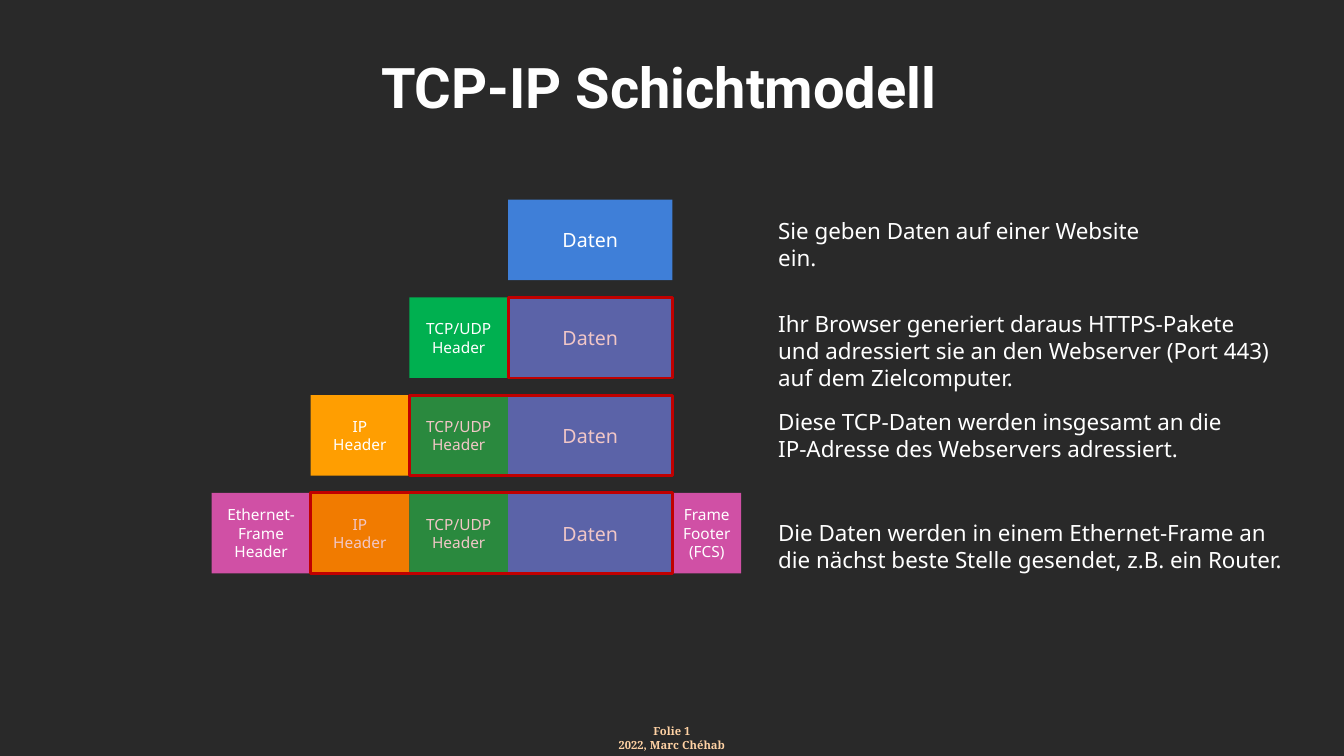
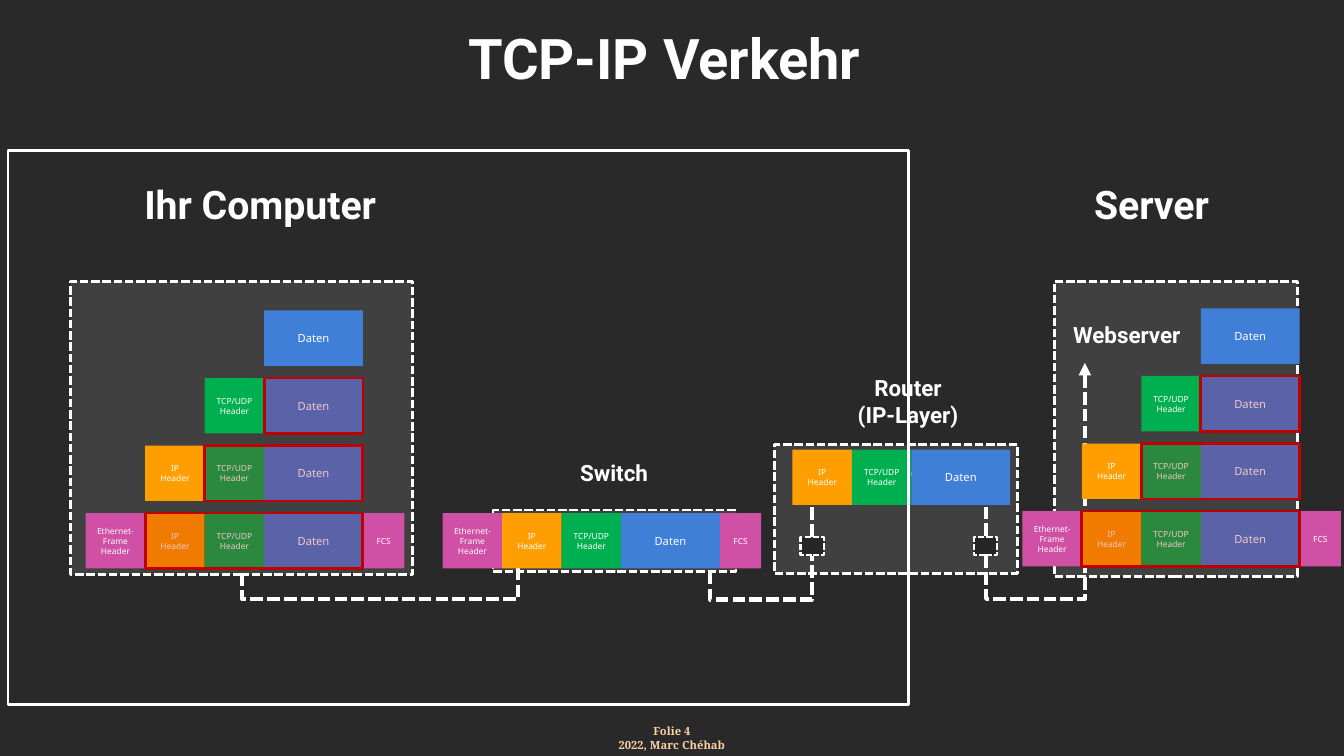
from copy import deepcopy
from dataclasses import dataclass

from lxml.etree import SubElement
from pptx import Presentation
from pptx.dml.color import RGBColor
from pptx.enum.dml import MSO_LINE
from pptx.enum.shapes import MSO_CONNECTOR, MSO_SHAPE
from pptx.enum.text import MSO_ANCHOR, MSO_AUTO_SIZE, PP_ALIGN
from pptx.oxml.ns import qn
from pptx.util import Inches, Pt


@dataclass(frozen=True)
class Theme:
    background: str = "292929"
    white: str = "FFFFFF"
    panel: str = "404040"
    port: str = "262626"
    data: str = "3F7FD8"
    transport: str = "00B050"
    internet: str = "FF9E01"
    ethernet: str = "D050A5"
    payload: str = "C00000"
    footer: str = "FFD2A4"
    body_font: str = "Noto Sans"
    heading_font: str = "Roboto"
    footer_font: str = "Noto Serif"
    title_size: int = 40
    section_size: int = 28
    text_size: int = 16
    footer_size: int = 8


@dataclass(frozen=True)
class PacketStyle:
    header: float
    data: float
    footer: float
    height: float
    step: float
    data_size: int
    header_size: int
    footer_text: str


THEME = Theme()
LARGE = PacketStyle(0.98, 1.63, 0.68, 0.8, 0.97, 14, 11, "Frame\nFooter (FCS)")
SMALL = PacketStyle(0.59, 0.98, 0.41, 0.55, 0.67, 8, 6, "FCS")
HEADERS = [
    ("Ethernet-Frame\nHeader", THEME.ethernet),
    ("IP\nHeader", THEME.internet),
    ("TCP/UDP\nHeader", THEME.transport),
]
DEFAULT_INSETS = (0.1, 0.05, 0.1, 0.05)
HEADING_INSETS = (0, 0.05, 0.1, 0.05)


def write_text(shape, text, size=THEME.text_size, font=THEME.body_font, color=THEME.white,
               bold=False, align=PP_ALIGN.LEFT, anchor=MSO_ANCHOR.TOP, insets=DEFAULT_INSETS):
    frame = shape.text_frame
    frame.word_wrap = True
    frame.auto_size = MSO_AUTO_SIZE.NONE
    frame.vertical_anchor = anchor
    frame.margin_left, frame.margin_top, frame.margin_right, frame.margin_bottom = map(Inches, insets)
    paragraph = frame.paragraphs[0]
    paragraph.text = text
    paragraph.alignment = align
    for run in paragraph.runs:
        run.font.size = Pt(size)
        run.font.name = font
        run.font.bold = bold
        run.font.color.rgb = RGBColor.from_string(color)
    for line_break in paragraph._p.findall(qn("a:br")):
        line_break.insert(0, deepcopy(paragraph.runs[0]._r.rPr))


def add_text(slide, text, left, top, width, height, **text_format):
    shape = slide.shapes.add_textbox(*map(Inches, (left, top, width, height)))
    write_text(shape, text, **text_format)


def add_heading(slide, text, left, top, width, size=THEME.text_size):
    add_text(slide, text, left, top, width, 0.8, size=size, font=THEME.heading_font, bold=True,
             align=PP_ALIGN.CENTER, anchor=MSO_ANCHOR.MIDDLE, insets=HEADING_INSETS)


def set_line(line, color, width, dashed=False):
    line.color.rgb = RGBColor.from_string(color)
    line.width = Pt(width)
    if dashed:
        line.dash_style = MSO_LINE.SQUARE_DOT


def add_box(slide, left, top, width, height, fill=None, line=None, line_width=2,
            dashed=False, opacity=None):
    shape = slide.shapes.add_shape(MSO_SHAPE.RECTANGLE, *map(Inches, (left, top, width, height)))
    shape.shadow.inherit = False
    if fill:
        shape.fill.solid()
        shape.fill.fore_color.rgb = RGBColor.from_string(fill)
    else:
        shape.fill.background()
    if opacity is not None:
        color = shape._element.spPr.find(qn("a:solidFill")).find(qn("a:srgbClr"))
        SubElement(color, qn("a:alpha"), val=str(opacity * 1000))
    if line:
        set_line(shape.line, line, line_width, dashed)
    else:
        shape.line.fill.background()
    return shape


def add_panel(slide, left, top, width, height):
    add_box(slide, left, top, width, height, fill=THEME.panel, line=THEME.white, dashed=True)


def add_port(slide, left, top):
    add_box(slide, left, top, 0.23, 0.18, fill=THEME.port, line=THEME.white,
            line_width=1.5, dashed=True)


def add_block(slide, text, fill, left, top, width, height, size):
    shape = add_box(slide, left, top, width, height, fill=fill)
    write_text(shape, text, size=size, align=PP_ALIGN.CENTER, anchor=MSO_ANCHOR.MIDDLE)


def add_packet(slide, style, left, top, header_count, payload_marked=False):
    headers = HEADERS[len(HEADERS) - header_count:]
    for index, (text, fill) in enumerate(headers):
        add_block(slide, text, fill, left + index * style.header, top,
                  style.header, style.height, style.header_size)
    data_left = left + header_count * style.header
    data_right = data_left + style.data
    add_block(slide, "Daten", THEME.data, data_left, top, style.data, style.height, style.data_size)
    if header_count == len(HEADERS):
        add_block(slide, style.footer_text, THEME.ethernet, data_right, top,
                  style.footer, style.height, style.header_size)
    if payload_marked and header_count:
        payload_left = left + style.header
        add_box(slide, payload_left, top, data_right - payload_left, style.height,
                fill=THEME.payload, line=THEME.payload, opacity=22)


def add_packet_stack(slide, style, left, top):
    for header_count in range(len(HEADERS) + 1):
        indent = (len(HEADERS) - header_count) * style.header
        add_packet(slide, style, left + indent, top + header_count * style.step,
                   header_count, payload_marked=True)


def add_cable(slide, kind, left, top, right, bottom):
    connector = slide.shapes.add_connector(kind, *map(Inches, (left, top, right, bottom)))
    set_line(connector.line, THEME.white, 3, dashed=True)
    SubElement(connector._element.spPr, qn("a:effectLst"))
    return connector


def add_bent_cable(slide, start, end, bend):
    (start_x, start_y), (end_x, end_y) = start, end
    rise = (end_y - start_y) or 0.01
    length, span = abs(rise), end_x - start_x
    left = (start_x + end_x - length) / 2
    top = (start_y + end_y - span) / 2
    connector = add_cable(slide, MSO_CONNECTOR.ELBOW, left, top, left + length, top + span)
    transform = connector._element.spPr.find(qn("a:xfrm"))
    transform.set("flipH", "1")
    if rise > 0:
        connector.rotation = 270
        transform.set("rot", str(270 * 60000))
    else:
        transform.set("rot", str(90 * 60000))
        transform.set("flipV", "1")
    adjustments = connector._element.spPr.find(qn("a:prstGeom")).find(qn("a:avLst"))
    ratio = round((bend - start_y) / rise * 100000)
    SubElement(adjustments, qn("a:gd"), name="adj1", fmla=f"val {ratio}")


def add_arrow(slide, left, bottom, top):
    connector = add_cable(slide, MSO_CONNECTOR.STRAIGHT, left, bottom, left, top)
    SubElement(connector.line._get_or_add_ln(), qn("a:tailEnd"), type="triangle")


def add_slide(presentation, title, number, left, top, align):
    slide = presentation.slides.add_slide(presentation.slide_layouts[5])
    shape = slide.shapes.title
    shape.left, shape.top, shape.width, shape.height = map(Inches, (left, top, 5.78, 0.8))
    write_text(shape, title, size=THEME.title_size, font=THEME.heading_font, bold=True,
               align=align, anchor=MSO_ANCHOR.MIDDLE, insets=HEADING_INSETS)
    add_text(slide, f"Folie {number}\n2022, Marc Chéhab", 5.33, 7.19, 2.67, 0.27,
             size=THEME.footer_size, font=THEME.footer_font, color=THEME.footer, bold=True,
             align=PP_ALIGN.CENTER, insets=(0, 0, 0, 0))
    return slide


def build_layer_slide(presentation):
    slide = add_slide(presentation, "TCP-IP Schichtmodell", 1, 3.78, 0.45, PP_ALIGN.LEFT)
    add_packet_stack(slide, LARGE, 2.1, 1.98)
    explanations = [
        ("Sie geben Daten auf einer Website ein.", 2.11, 3.87, 0.64),
        ("Ihr Browser generiert daraus HTTPS-Pakete und adressiert sie an den Webserver "
         "(Port 443) auf dem Zielcomputer.", 3.03, 5.11, 0.91),
        ("Diese TCP-Daten werden insgesamt an die\nIP-Adresse des Webservers adressiert.",
         4, 5.11, 0.64),
        ("Die Daten werden in einem Ethernet-Frame an die nächst beste Stelle gesendet, "
         "z.B. ein Router.", 5.1, 5.27, 0.64),
    ]
    for text, top, width, height in explanations:
        add_text(slide, text, 7.62, top, width, height)


def build_traffic_slide(presentation):
    slide = add_slide(presentation, "TCP-IP Verkehr", 4, 3.75, 0.17, PP_ALIGN.CENTER)
    add_panel(slide, 0.7, 2.79, 3.39, 2.91)
    add_packet_stack(slide, SMALL, 0.85, 3.08)
    add_heading(slide, "Ihr Computer", 0.5, 1.62, 4.26, size=THEME.section_size)
    add_heading(slide, "Switch", 5.25, 4.29, 1.78)
    add_heading(slide, "Router\n(IP-Layer)", 7.81, 3.58, 2.49)
    add_heading(slide, "Server", 10.58, 1.62, 1.78, size=THEME.section_size)
    for top, left, height in [(5.06, 4.89, 0.61), (4.41, 7.68, 1.28), (2.79, 10.46, 2.93)]:
        add_panel(slide, left, top, 2.41, height)
    for left in (7.94, 9.66):
        add_port(slide, left, 5.33)
    cables = [
        ((2.4, 5.69), (5.14, 5.51), 5.94),
        ((7.04, 5.51), (8.05, 5.51), 5.96),
        ((9.78, 5.51), (10.76, 5.53), 5.94),
        ((8.05, 5.33), (9.78, 5.33), 4.7),
    ]
    for start, end, bend in cables:
        add_bent_cable(slide, start, end, bend)
    add_arrow(slide, 10.76, 5.35, 3.6)
    add_packet(slide, SMALL, 4.39, 5.09, 3)
    add_packet(slide, SMALL, 7.86, 4.46, 2)
    add_packet_stack(slide, SMALL, 10.14, 3.06)
    add_heading(slide, "Webserver", 9.98, 2.92, 2.49)
    add_box(slide, 0.08, 1.49, 8.93, 5.5, line=THEME.white)


def main():
    presentation = Presentation()
    presentation.slide_width = Inches(13.33)
    presentation.slide_height = Inches(7.5)
    background = presentation.slide_master.background.fill
    background.solid()
    background.fore_color.rgb = RGBColor.from_string(THEME.background)
    build_layer_slide(presentation)
    build_traffic_slide(presentation)
    presentation.save("out.pptx")


if __name__ == "__main__":
    main()
